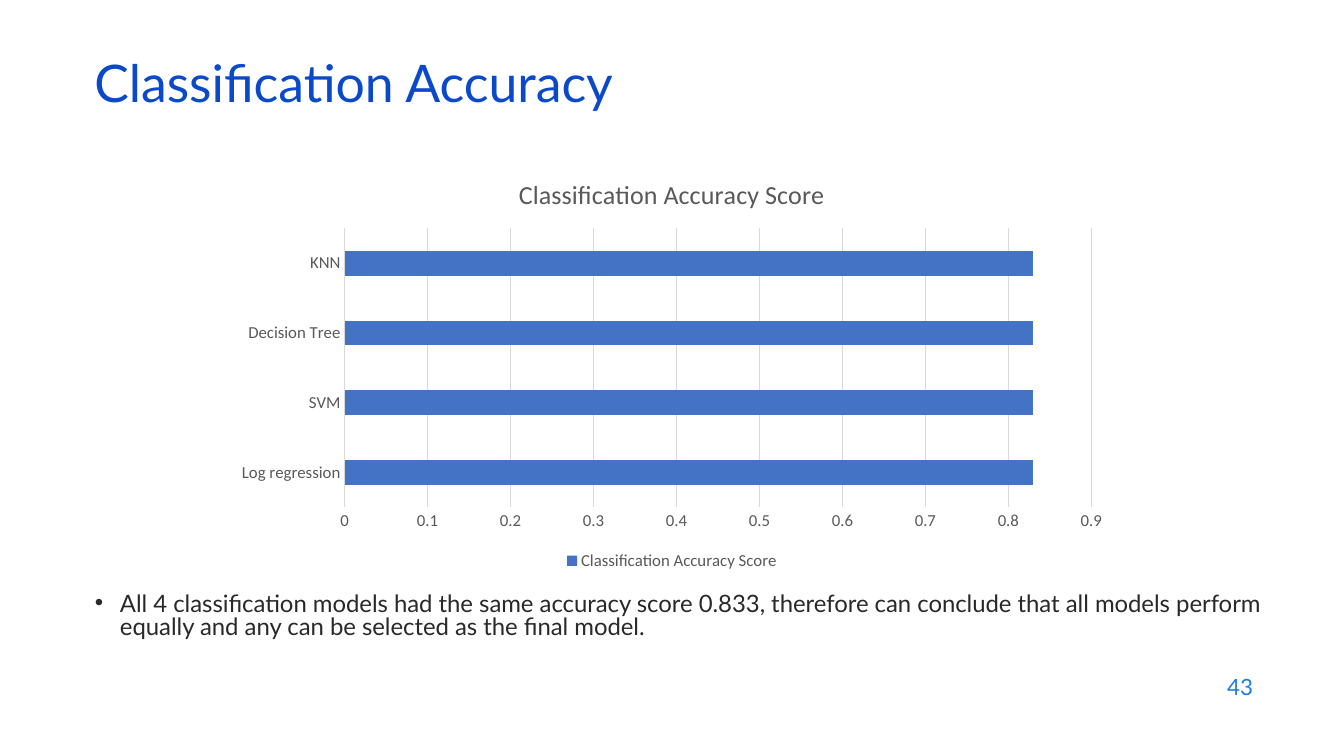
from dataclasses import dataclass

from pptx import Presentation
from pptx.chart import data as cd
from pptx.dml.color import RGBColor
from pptx.enum import chart as ch, text as tx
from pptx.util import Pt

NAVY = RGBColor(0x0B, 0x49, 0xCB)
BLUE = RGBColor(0x1C, 0x7D, 0xDB)
INK = RGBColor(0x29, 0x29, 0x29)
GREY = RGBColor(0x59, 0x59, 0x59)
RULE = RGBColor(0xD9, 0xD9, 0xD9)
BAR = RGBColor(0x44, 0x72, 0xC4)
NAME = "Classification Accuracy Score"


@dataclass
class Label:
    text: str
    box: tuple[float, float, float, float]
    size: float
    color: RGBColor
    anchor: tx.MSO_ANCHOR = tx.MSO_ANCHOR.MIDDLE
    align: tx.PP_ALIGN = tx.PP_ALIGN.LEFT
    space: float = 1.0


def style(font, face: str, size: float, color: RGBColor) -> None:
    font.name, font.size, font.bold = face, Pt(size), False
    font.color.rgb = color


def write(shape, label: Label):
    """Place a shape and fill it with one styled paragraph."""
    shape.left, shape.top, shape.width, shape.height = map(Pt, label.box)
    frame = shape.text_frame
    frame.word_wrap = True
    frame.auto_size = tx.MSO_AUTO_SIZE.NONE
    frame.vertical_anchor = label.anchor
    para = frame.paragraphs[0]
    para.alignment, para.line_spacing = label.align, label.space
    para.space_before = Pt(0)
    run = para.add_run()
    run.text = label.text
    style(run.font, "Lato", label.size, label.color)
    return para


def plot(slide) -> None:
    """Add the bar chart of model scores."""
    data = cd.CategoryChartData()
    data.categories = ["Log regression", "SVM", "Decision Tree", "KNN"]
    data.add_series(NAME, [0.83] * 4)
    box = map(Pt, (160, 113, 640, 297.6))
    chart = slide.shapes.add_chart(
        ch.XL_CHART_TYPE.BAR_CLUSTERED, *box, data).chart
    style(chart.font, "Calibri", 12, GREY)

    # Title and legend
    chart.has_title = True
    run = chart.chart_title.text_frame.paragraphs[0].add_run()
    run.text = NAME
    style(run.font, "Calibri", 18.6, GREY)
    chart.has_legend = True
    chart.legend.position = ch.XL_LEGEND_POSITION.BOTTOM
    chart.legend.include_in_layout = False
    style(chart.legend.font, "Calibri", 12, GREY)

    # Bars
    bars = chart.plots[0]
    bars.gap_width, bars.vary_by_categories = 182, False
    fill = bars.series[0].format.fill
    fill.solid()
    fill.fore_color.rgb = BAR

    # Axes
    cats, vals = chart.category_axis, chart.value_axis
    for axis in (cats, vals):
        axis.major_tick_mark = axis.minor_tick_mark = ch.XL_TICK_MARK.NONE
        style(axis.tick_labels.font, "Calibri", 12, GREY)
    vals.minimum_scale, vals.maximum_scale, vals.major_unit = 0, 0.9, 0.1
    vals.has_major_gridlines = True
    vals.format.line.fill.background()
    for line in (cats.format.line, vals.major_gridlines.format.line):
        line.color.rgb, line.width = RULE, Pt(0.75)


def main() -> None:
    deck = Presentation()
    deck.slide_width, deck.slide_height = Pt(960), Pt(540)
    slide = deck.slides.add_slide(deck.slide_layouts[1])

    # Title
    write(slide.shapes.title, Label(
        "Classification Accuracy", (60.2, 42.48, 828, 43.2), 37, NAVY,
        space=0.7))

    plot(slide)

    # Finding
    para = write(slide.placeholders[1], Label(
        "All 4 classification models had the same accuracy score 0.833, "
        "therefore can conclude that all models perform equally and any "
        "can be selected as the final model.",
        (60.48, 420.48, 853.2, 43.2), 17.1, INK,
        anchor=tx.MSO_ANCHOR.TOP, space=0.8))
    props = para._p.get_or_add_pPr()
    props.set("marL", str(Pt(18)))
    props.set("indent", str(Pt(-18)))

    # Page number
    page = Label("43", (686.16, 474.48, 216, 31.68), 16, BLUE,
                 align=tx.PP_ALIGN.RIGHT)
    write(slide.shapes.add_textbox(*map(Pt, page.box)), page)

    deck.save("out.pptx")


if __name__ == "__main__":
    main()
